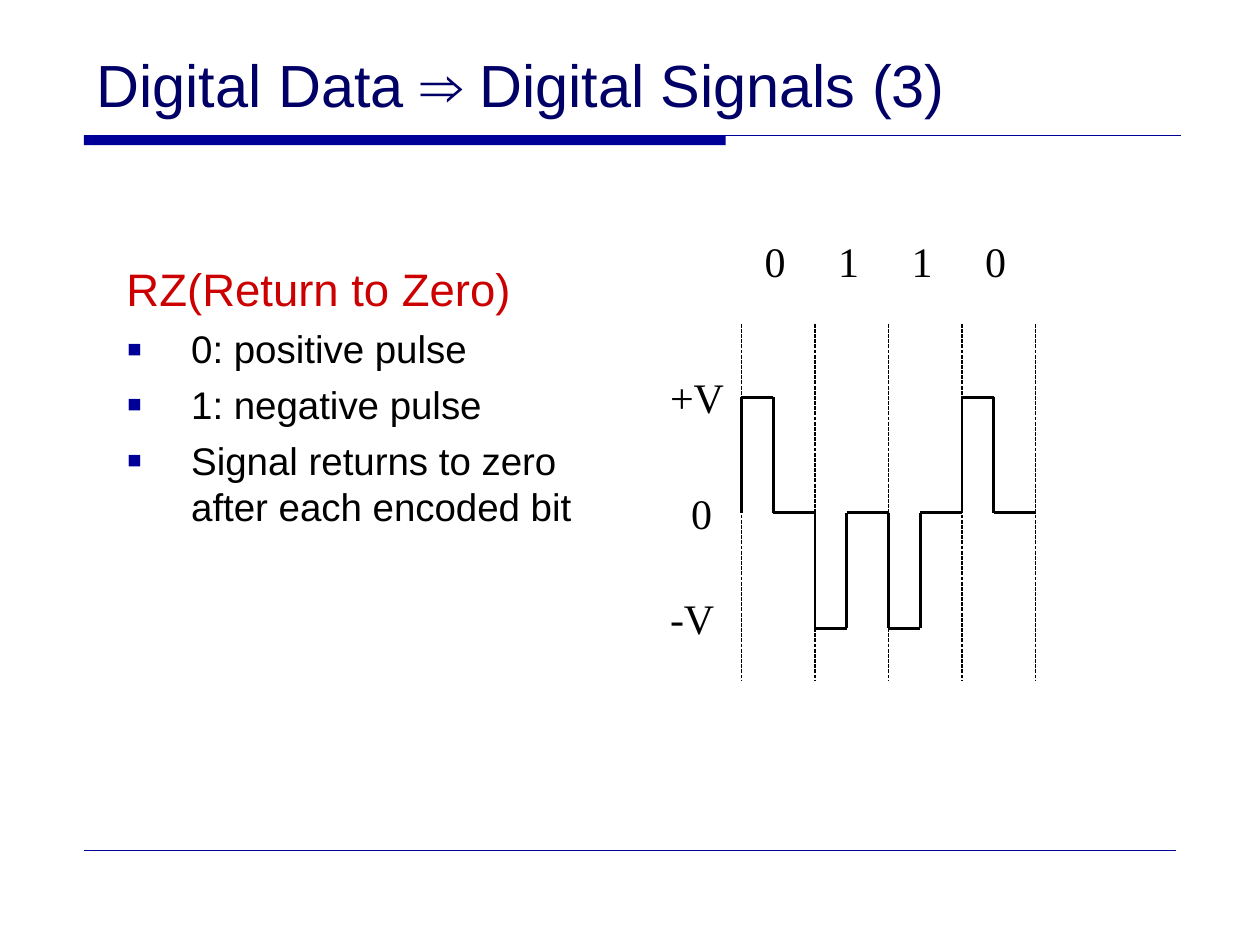
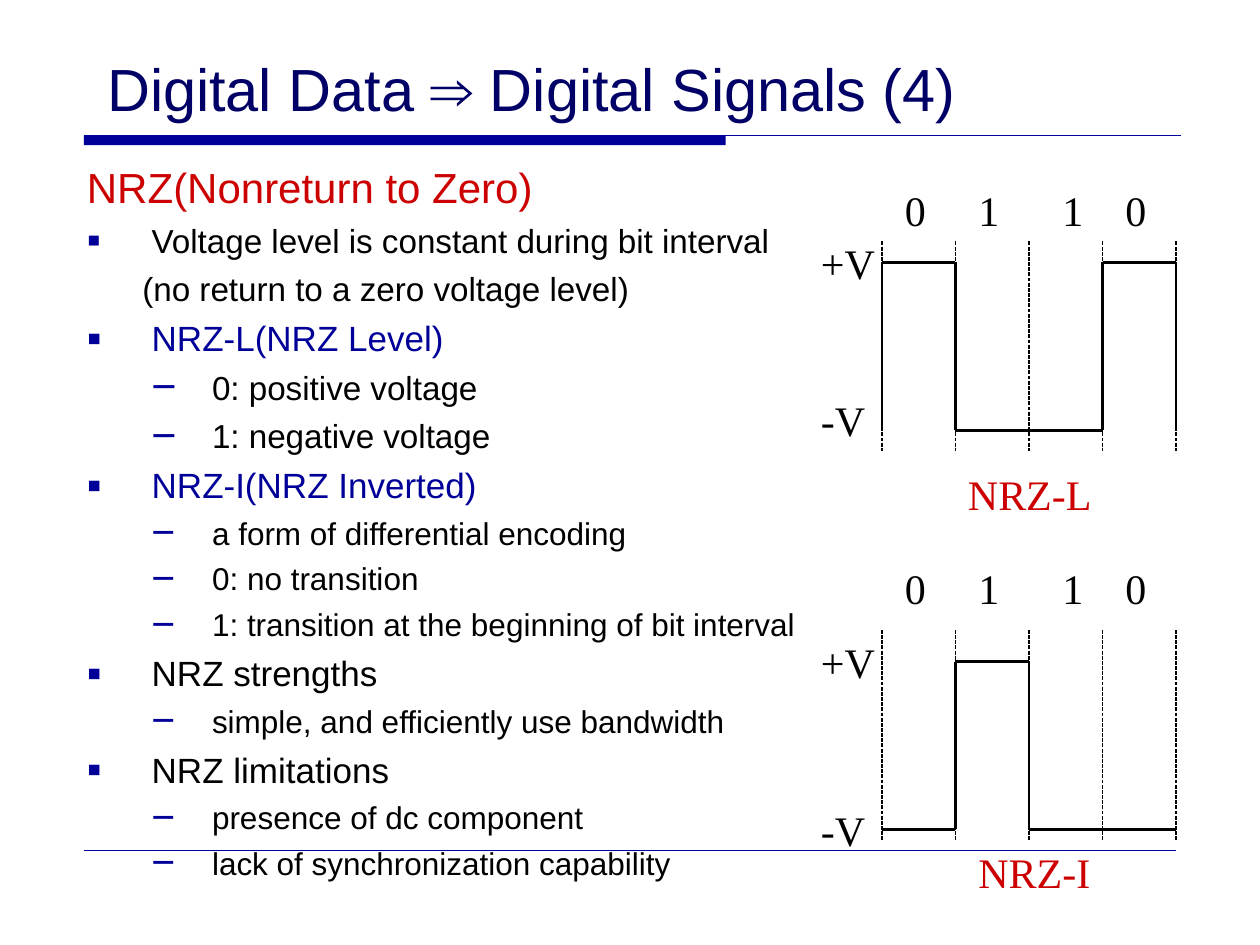
"""Builds two slides on digital signal encoding: RZ and NRZ."""
from itertools import pairwise

from lxml.etree import SubElement
from pptx import Presentation
from pptx.dml.color import RGBColor
from pptx.enum.dml import MSO_LINE
from pptx.enum.shapes import MSO_CONNECTOR, MSO_SHAPE
from pptx.enum.text import MSO_ANCHOR
from pptx.oxml.ns import qn
from pptx.util import Pt

NAVY = RGBColor(0x00, 0x00, 0x66)
BLUE = RGBColor(0x00, 0x00, 0x99)
RED = RGBColor(0xCC, 0x00, 0x00)
BLACK = RGBColor(0x00, 0x00, 0x00)
SANS, SERIF = "Arial", "Times New Roman"

BULLETS = {"square": ("▪", 120), "dash": ("−", 130)}
INDENTS = {"head": (0, 0), "square": (37, -37), "note": (31.7, 0), "dash": (71.5, -34.6)}

PULSE = 0.43
RZ_WAVE = [(0, 0)]
for bit, volt in enumerate((1, -1, -1, 1)):
    RZ_WAVE += [(bit, volt), (bit + PULSE, volt), (bit + PULSE, 0), (bit + 1, 0)]
NRZ_L_WAVE = [(0, -1), (0, 1), (1, 1), (1, -1), (3, -1), (3, 1), (4, 1), (4, -1)]
NRZ_I_WAVE = [(0, -1), (1, -1), (1, 1), (2, 1), (2, -1), (4, -1)]

BITS = "\t0\t1\t1\t0"
EVEN_STOPS = (24, 66, 108, 150)
WIDE_STOPS = (24, 66, 114, 150)
BIT_WIDTH = 42

SLIDES = [
    {
        "title": ("Digital Data ⇒ Digital Signals (3)", (48.2, 15, 612, 57)),
        "body_box": (65.2, 145.5, 300, 324),
        "body": [
            ("head", 26, RED, "RZ(Return to Zero)"),
            ("square", 22, BLACK, "0: positive pulse"),
            ("square", 22, BLACK, "1: negative pulse"),
            ("square", 22, BLACK, "Signal returns to zero after each encoded bit"),
        ],
        "diagrams": [
            {
                "left": 423.8, "top": 185, "bottom": 389, "wave": RZ_WAVE,
                "levels": {1: 227, 0: 293, -1: 359},
                "labels": [
                    (BITS, 405.8, 131, 198, BLACK, EVEN_STOPS),
                    ("+V", 375.8, 209, 48, BLACK, ()),
                    ("-V", 375.8, 335, 48, BLACK, ()),
                    ("\t0", 375.8, 275, 48, BLACK, (12,)),
                ],
            },
        ],
    },
    {
        "title": ("Digital Data ⇒ Digital Signals (4)", (54.2, 15, 612, 59)),
        "body_box": (42.6, 88.5, 437, 420),
        "body": [
            ("head", 24, RED, "NRZ(Nonreturn to Zero)"),
            ("square", 19, BLACK, "Voltage level is constant during bit interval"),
            ("note", 19, BLACK, "(no return to a zero voltage level)"),
            ("square", 20, BLUE, "NRZ-L(NRZ Level)"),
            ("dash", 19, BLACK, "0: positive voltage"),
            ("dash", 19, BLACK, "1: negative voltage"),
            ("square", 20, BLUE, "NRZ-I(NRZ Inverted)"),
            ("dash", 18, BLACK, "a form of differential encoding"),
            ("dash", 18, BLACK, "0: no transition"),
            ("dash", 18, BLACK, "1: transition at the beginning of bit interval"),
            ("square", 20, BLACK, "NRZ strengths"),
            ("dash", 18, BLACK, "simple, and efficiently use bandwidth"),
            ("square", 20, BLACK, "NRZ limitations"),
            ("dash", 18, BLACK, "presence of dc component"),
            ("dash", 18, BLACK, "lack of synchronization capability"),
        ],
        "diagrams": [
            {
                "left": 504, "top": 138, "bottom": 258, "wave": NRZ_L_WAVE,
                "levels": {1: 150, -1: 246},
                "labels": [
                    (BITS, 486, 102, 192, BLACK, WIDE_STOPS),
                    ("+V", 462, 132, 48, BLACK, ()),
                    ("-V", 462, 222, 48, BLACK, ()),
                    ("NRZ-L", 546, 264, 96, RED, ()),
                ],
            },
            {
                "left": 504, "top": 360, "bottom": 480, "wave": NRZ_I_WAVE,
                "levels": {1: 378, -1: 474},
                "labels": [
                    (BITS, 486, 318, 192, BLACK, WIDE_STOPS),
                    ("+V", 462, 360, 48, BLACK, ()),
                    ("-V", 462, 456, 48, BLACK, ()),
                    ("NRZ-I", 552, 480, 96, RED, ()),
                ],
            },
        ],
    },
]


def add_line(s, x1, y1, x2, y2, color, width, dash=None):
    ends = (Pt(v) for v in (x1, y1, x2, y2))
    sp = s.shapes.add_connector(MSO_CONNECTOR.STRAIGHT, *ends)
    sp.line.color.rgb = color
    sp.line.width = Pt(width)
    if dash:
        sp.line.dash_style = dash
    SubElement(sp._element.spPr, qn("a:effectLst"))


def add_box(s, box):
    tf = s.shapes.add_textbox(*(Pt(v) for v in box)).text_frame
    tf.word_wrap = True
    return tf


def add_run(p, text, size, font, color):
    r = p.add_run()
    r.text = text
    r.font.size = Pt(size)
    r.font.name = font
    r.font.color.rgb = color


def set_bullet(pPr, char, percent):
    color = SubElement(pPr, qn("a:buClr"))
    SubElement(color, qn("a:srgbClr"), val=str(BLUE))
    SubElement(pPr, qn("a:buSzPct"), val=str(percent * 1000))
    SubElement(pPr, qn("a:buFont"), typeface=SANS)
    SubElement(pPr, qn("a:buChar"), char=char)


def add_frame(s, title, box):
    sp = s.shapes.add_shape(MSO_SHAPE.RECTANGLE, Pt(48), Pt(77.3), Pt(366.7), Pt(5.7))
    sp.shadow.inherit = False
    sp.fill.solid()
    sp.fill.fore_color.rgb = BLUE
    sp.line.fill.background()
    add_line(s, 48, 77.3, 674.6, 77.3, BLUE, 0.75)
    add_line(s, 48, 486, 672, 486, BLUE, 0.25)
    tf = add_box(s, box)
    tf.vertical_anchor = MSO_ANCHOR.BOTTOM
    add_run(tf.paragraphs[0], title, 34, SANS, NAVY)


def add_body(s, box, items):
    tf = add_box(s, box)
    for i, (kind, size, color, text) in enumerate(items):
        p = tf.add_paragraph() if i else tf.paragraphs[0]
        pPr = p._p.get_or_add_pPr()
        margin, indent = INDENTS[kind]
        pPr.set("marL", str(Pt(margin)))
        pPr.set("indent", str(Pt(indent)))
        if kind in BULLETS:
            set_bullet(pPr, *BULLETS[kind])
        if i:
            p.space_before = Pt(size / 4)
        add_run(p, text, size, SANS, color)


def add_label(s, text, x, y, width, color, stops):
    p = add_box(s, (x, y, width, 36)).paragraphs[0]
    if stops:
        tabs = SubElement(p._p.get_or_add_pPr(), qn("a:tabLst"))
        for stop in stops:
            SubElement(tabs, qn("a:tab"), pos=str(Pt(stop)), algn="l")
    add_run(p, text, 24, SERIF, color)


def add_diagram(s, left, top, bottom, wave, levels, labels):
    for i in range(5):
        x = left + i * BIT_WIDTH
        add_line(s, x, top, x, bottom, BLACK, 0.75, MSO_LINE.SQUARE_DOT)
    points = [(left + t * BIT_WIDTH, levels[v]) for t, v in wave]
    for start, end in pairwise(points):
        add_line(s, *start, *end, BLACK, 1.5)
    for label in labels:
        add_label(s, *label)


def main():
    prs = Presentation()
    prs.slide_width, prs.slide_height = Pt(720), Pt(540)
    for content in SLIDES:
        s = prs.slides.add_slide(prs.slide_layouts[6])
        add_frame(s, *content["title"])
        add_body(s, content["body_box"], content["body"])
        for diagram in content["diagrams"]:
            add_diagram(s, **diagram)
    prs.save("out.pptx")


if __name__ == "__main__":
    main()
